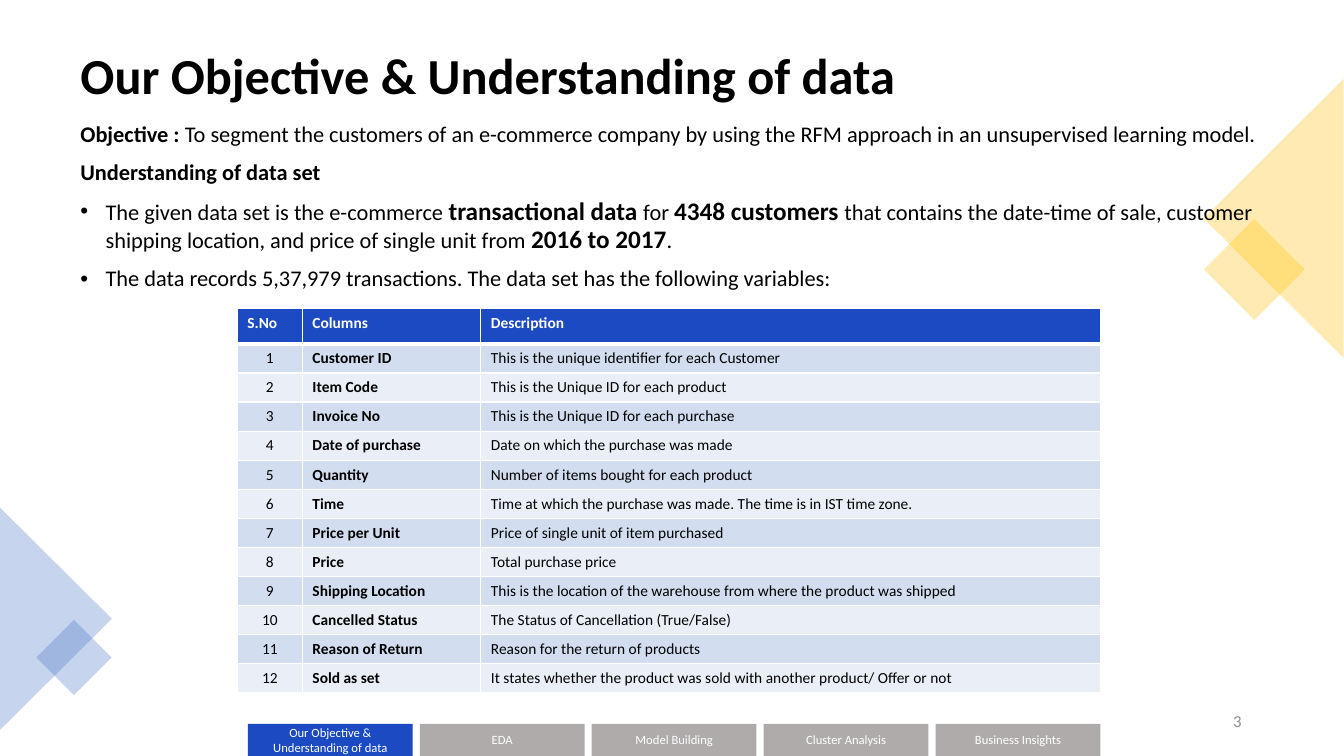
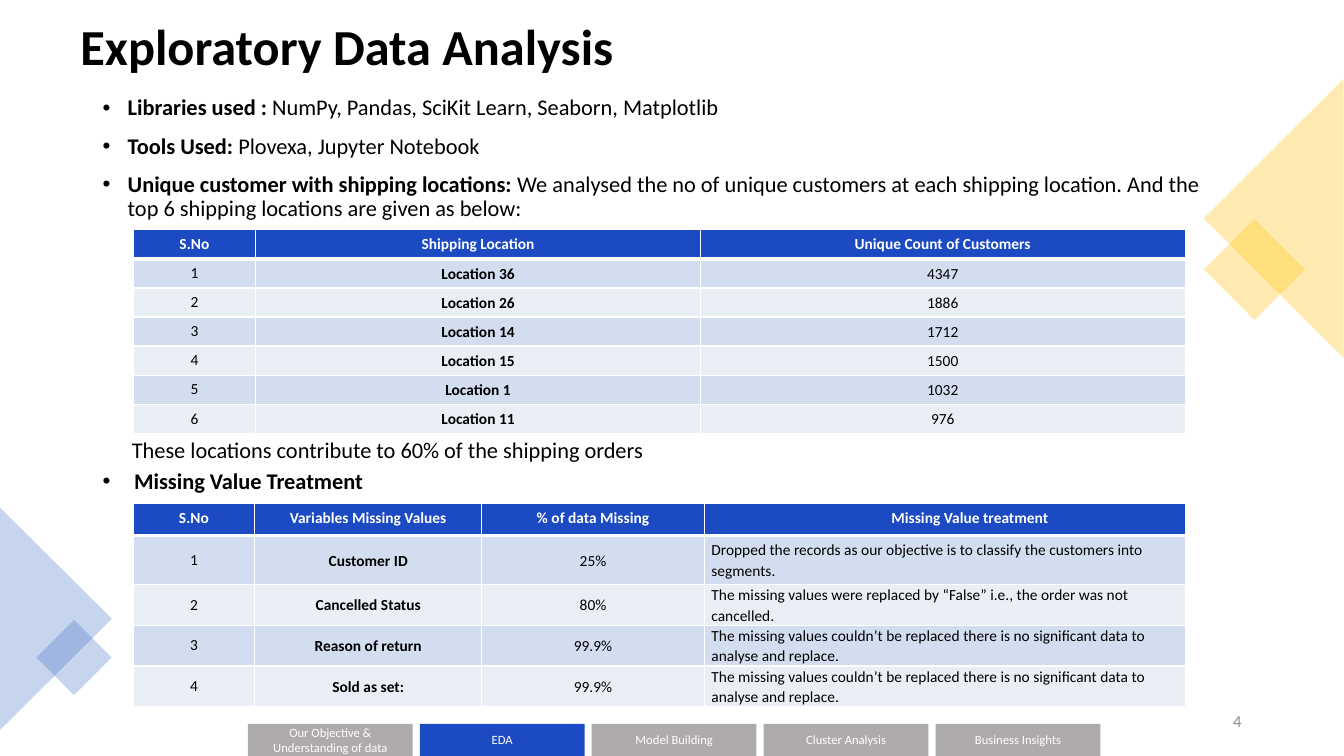
import lxml.etree
import pptx
import pptx.dml.color
import pptx.enum.shapes
import pptx.enum.text
import pptx.oxml.ns
import pptx.util

Pt = pptx.util.Pt
qn = pptx.oxml.ns.qn
Align = pptx.enum.text.PP_ALIGN
Anchor = pptx.enum.text.MSO_ANCHOR
Preset = pptx.enum.shapes.MSO_SHAPE

FONT = "Calibri"
BLACK, WHITE = "000000", "FFFFFF"
BLUE, GREY, NUMBER_GREY = "1B4AC3", "AFABAB", "8C8C8C"
AMBER, SOFT_BLUE = "FFC000", "4472C4"
BANDS = ["D2DEEF", "EAEFF7"]
SECTIONS = ["Our Objective &\nUnderstanding of data", "EDA", "Model Building",
            "Cluster Analysis", "Business Insights"]
DECORATIONS = [
    # preset, left, top, width, height, rotation, colour
    (Preset.RECTANGLE, 870.5, 167, 51, 51, 45, AMBER),
    (Preset.ISOSCELES_TRIANGLE, 810, 106, 199.5, 100, 270, AMBER),
    (Preset.ISOSCELES_TRIANGLE, -39.6, 402, 159, 80, 90, SOFT_BLUE),
    (Preset.RECTANGLE, 33.8, 450.7, 38, 38, 45, SOFT_BLUE),
]

VARIABLES = [
    ("S.No", "Columns", "Description"),
    ("1", "Customer ID", "This is the unique identifier for each Customer"),
    ("2", "Item Code", "This is the Unique ID for each product"),
    ("3", "Invoice No", "This is the Unique ID for each purchase"),
    ("4", "Date of purchase", "Date on which the purchase was made"),
    ("5", "Quantity", "Number of items bought for each product"),
    ("6", "Time", "Time at which the purchase was made. The time is in IST time zone."),
    ("7", "Price per Unit", "Price of single unit of item purchased"),
    ("8", "Price", "Total purchase price"),
    ("9", "Shipping Location",
     "This is the location of the warehouse from where the product was shipped"),
    ("10", "Cancelled Status", "The Status of Cancellation (True/False)"),
    ("11", "Reason of Return", "Reason for the return of products"),
    ("12", "Sold as set",
     "It states whether the product was sold with another product/ Offer or not"),
]
LOCATIONS = [
    ("S.No", "Shipping Location", "Unique Count of Customers"),
    ("1", "Location 36", "4347"),
    ("2", "Location 26", "1886"),
    ("3", "Location 14", "1712"),
    ("4", "Location 15", "1500"),
    ("5", "Location 1", "1032"),
    ("6", "Location 11", "976"),
]
NOT_REPLACED = ("The missing values couldn’t be replaced there is no significant data "
                "to analyse and replace.")
MISSING_VALUES = [
    ("S.No", "Variables Missing Values", "% of data Missing", "Missing Value treatment"),
    ("1", "Customer ID", "25%",
     "Dropped the records as our objective is to classify the customers into segments."),
    ("2", "Cancelled Status", "80%",
     "The missing values were replaced by “False” i.e., the order was not cancelled."),
    ("3", "Reason of return", "99.9%", NOT_REPLACED),
    ("4", "Sold as set:", "99.9%", NOT_REPLACED),
]


def rgb(value):
    return pptx.dml.color.RGBColor.from_string(value)


def write(frame, text, size=16, bold=False, color=BLACK, align=Align.LEFT,
          spacing=1.0, before=0, bullet=0):
    """Add a paragraph; text is a string or a list of strings and (bold string, size).

    bullet is the hanging indent in points; 0 means no bullet.
    """
    first = not frame.text
    para = frame.paragraphs[0] if first else frame.add_paragraph()
    if bullet:
        properties = para._p.get_or_add_pPr()
        properties.set("marL", str(Pt(bullet)))
        properties.set("indent", str(-Pt(bullet)))
        lxml.etree.SubElement(properties, qn("a:buFont"), typeface="Arial")
        lxml.etree.SubElement(properties, qn("a:buChar"), char="•")
    para.alignment = align
    para.line_spacing = spacing
    if not first:
        para.space_before = Pt(before)
    for part in [text] if isinstance(text, str) else text:
        words, span_size, span_bold = (
            (part, size, bold) if isinstance(part, str) else (*part, True))
        span = para.add_run()
        span.text = words
        span.font.name = FONT
        span.font.size = Pt(span_size)
        span.font.bold = span_bold
        span.font.color.rgb = rgb(color)


def add_text_frame(page, left, top, width, height, anchor=Anchor.TOP):
    box = page.shapes.add_textbox(Pt(left), Pt(top), Pt(width), Pt(height))
    box.text_frame.word_wrap = True
    box.text_frame.vertical_anchor = anchor
    return box.text_frame


def add_filled_shape(page, preset, left, top, width, height, color):
    shape = page.shapes.add_shape(preset, Pt(left), Pt(top), Pt(width), Pt(height))
    shape.shadow.inherit = False
    shape.fill.solid()
    shape.fill.fore_color.rgb = rgb(color)
    shape.line.fill.background()
    return shape


def add_decorations(page):
    for *placement, rotation, color in DECORATIONS:
        shape = add_filled_shape(page, *placement, color)
        shape.rotation = rotation
        fill_color = shape._element.spPr.find(qn("a:solidFill"))[0]
        lxml.etree.SubElement(fill_color, qn("a:alpha"), val="30000")


def add_section_tabs(page, active):
    for index, section in enumerate(SECTIONS):
        tab = add_filled_shape(page, Preset.RECTANGLE, 177.1 + 122.8 * index, 517, 117.7, 23,
                               BLUE if index == active else GREY)
        tab.text_frame.vertical_anchor = Anchor.MIDDLE
        for line in section.split("\n"):
            write(tab.text_frame, line, size=9, color=WHITE, align=Align.CENTER)


def add_page(deck, title, title_top, title_height, number, section):
    page = deck.slides.add_slide(deck.slide_layouts[6])
    heading = add_text_frame(page, 50.4, title_top, 859, title_height, Anchor.MIDDLE)
    write(heading, title, size=36, bold=True, spacing=0.9)
    add_decorations(page)
    footer = add_text_frame(page, 678, 500.4, 216, 28.8, Anchor.MIDDLE)
    write(footer, number, size=12, color=NUMBER_GREY, align=Align.RIGHT)
    add_section_tabs(page, section)
    return page


def set_borders(cell, bottom):
    properties = cell._tc.get_or_add_tcPr()
    for side, width in (("L", 1), ("R", 1), ("T", 1), ("B", bottom)):
        line = lxml.etree.SubElement(properties, qn(f"a:ln{side}"), w=str(Pt(width)))
        fill = lxml.etree.SubElement(line, qn("a:solidFill"))
        lxml.etree.SubElement(fill, qn("a:srgbClr"), val=WHITE)


def add_table(page, left, top, widths, heights, rows, aligns, header_align, tight):
    """Draw a banded table; tight drops the padding of all body cells but the first column."""
    table = page.shapes.add_table(len(rows), len(widths), Pt(left), Pt(top),
                                  Pt(sum(widths)), Pt(sum(heights))).table
    for column, width in zip(table.columns, widths):
        column.width = Pt(width)
    for row, height in zip(table.rows, heights):
        row.height = Pt(height)
    for row_index, texts in enumerate(rows):
        header = row_index == 0
        for column_index, text in enumerate(texts):
            cell = table.cell(row_index, column_index)
            set_borders(cell, bottom=3 if header else 1)
            cell.fill.solid()
            cell.fill.fore_color.rgb = rgb(BLUE if header else BANDS[(row_index - 1) % 2])
            cell.vertical_anchor = Anchor.TOP if header else Anchor.MIDDLE
            padded = header or column_index == 0 or not tight
            if not padded:
                cell.margin_left = cell.margin_right = Pt(5)
                cell.margin_top = cell.margin_bottom = 0
            write(cell.text_frame, text, size=11, bold=header or column_index == 1,
                  color=WHITE if header else BLACK,
                  align=header_align if header else aligns[column_index],
                  spacing=1.0 if padded else 1.07)
    return table


def build_objective(deck):
    page = add_page(deck, "Our Objective & Understanding of data", 11.5, 89.3, "3", 0)
    body = add_text_frame(page, 50.4, 84.2, 859, 389.5)
    style = {"spacing": 0.9, "before": 10}
    write(body, [("Objective : ", 16),
                 "To segment the customers of an e-commerce company by using the RFM "
                 "approach in an unsupervised learning model."], **style)
    write(body, "Understanding of data set", bold=True, **style)
    write(body, ["The given data set is the e-commerce ", ("transactional data ", 18),
                 "for ", ("4348 customers ", 18),
                 "that contains the date-time of sale, customer shipping location, "
                 "and price of single unit from ", ("2016 to 2017", 18), "."],
          bullet=18, **style)
    write(body, "The data records 5,37,979 transactions. "
                "The data set has the following variables:", bullet=18, **style)
    add_table(page, 169.5, 220.5, [46.5, 127.5, 442.5], [25.2] + [20.75] * 12, VARIABLES,
              [Align.CENTER, Align.LEFT, Align.LEFT], Align.LEFT, tight=False)


def build_exploration(deck):
    page = add_page(deck, "Exploratory Data Analysis", -1.4, 72.7, "4", 1)
    body = add_text_frame(page, 66.2, 65.5, 809.3, 389.5)
    for label, text in [
        ("Libraries used : ", "NumPy, Pandas, SciKit Learn, Seaborn, Matplotlib"),
        ("Tools Used: ", "Plovexa, Jupyter Notebook"),
        ("Unique customer with shipping locations: ",
         "We analysed the no of unique customers at each shipping location. "
         "And the top 6 shipping locations are given as below:"),
    ]:
        write(body, [(label, 16), text], spacing=0.9, before=10, bullet=18)
    center = Align.CENTER
    add_table(page, 95, 164.2, [87.8, 317.5, 346.3], [20.75] * 7, LOCATIONS,
              [center] * 3, center, tight=True)
    treatment = add_table(page, 95, 359.5, [87.1, 162, 159.1, 343.4],
                          [23, 35.2, 29, 29, 29], MISSING_VALUES,
                          [center] * 3 + [Align.LEFT], center, tight=True)
    treatment.cell(0, 3).margin_left = Pt(43.2)
    write(add_text_frame(page, 87.1, 308.2, 485.3, 26.6),
          "These locations contribute to 60% of the shipping orders")
    write(add_text_frame(page, 66.2, 330.5, 485.3, 26.6),
          "Missing Value Treatment", bold=True, bullet=22.5)


def main():
    deck = pptx.Presentation()
    deck.slide_width, deck.slide_height = Pt(960), Pt(540)
    build_objective(deck)
    build_exploration(deck)
    deck.save("out.pptx")


if __name__ == "__main__":
    main()
